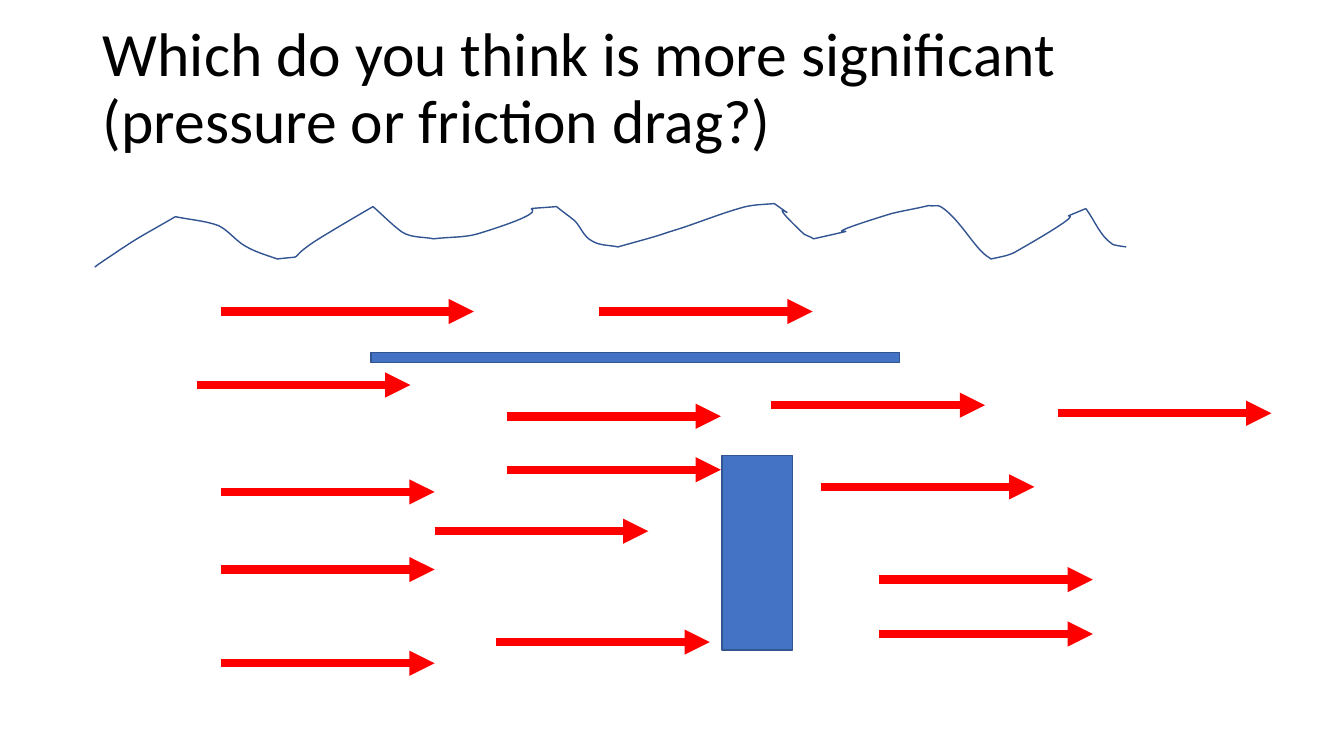
from typing import NamedTuple

from lxml.etree import SubElement
from pptx import Presentation
from pptx.dml.color import RGBColor
from pptx.enum.shapes import MSO_CONNECTOR as Link, MSO_SHAPE as Kind
from pptx.enum.text import MSO_ANCHOR as Anchor, MSO_AUTO_SIZE as Fit, PP_ALIGN as Align
from pptx.oxml.ns import qn
from pptx.util import Pt

PX = 9144  # EMU per px, 100 px to the inch
RED, BLUE, EDGE = "FF0000", "4472C4", "325491"


class Arrow(NamedTuple):
    x: int
    y: int
    width: int = 212


class Plate(NamedTuple):
    x: int
    y: int
    width: int
    height: int


ARROWS = [
    Arrow(219, 565), Arrow(219, 488), Arrow(195, 382), Arrow(219, 309, 251),
    Arrow(219, 658), Arrow(492, 637), Arrow(503, 466), Arrow(431, 527),
    Arrow(503, 413), Arrow(594, 309), Arrow(765, 402), Arrow(814, 483),
    Arrow(872, 575), Arrow(872, 629), Arrow(1049, 410),
]
PLATES = [Plate(368, 350, 524, 10), Plate(716, 452, 70, 193)]

START = (94, 265)
# Each curve: two control points, then its end point
CURVES = [
    ((95, 264), (97, 263), (98, 262)),
    ((141, 233), (129, 241), (174, 215)),
    ((188, 218), (204, 219), (217, 224)),
    ((227, 229), (234, 239), (243, 244)),
    ((253, 250), (264, 253), (275, 257)),
    ((307, 253), (281, 260), (313, 239)),
    ((332, 227), (370, 205), (370, 205)),
    ((376, 210), (396, 230), (402, 232)),
    ((411, 236), (421, 235), (430, 237)),
    ((445, 235), (460, 236), (474, 232)),
    ((578, 200), (489, 210), (552, 205)),
    ((558, 210), (564, 214), (570, 219)),
    ((576, 225), (579, 235), (587, 239)),
    ((595, 244), (604, 243), (613, 245)),
    ((630, 240), (647, 236), (664, 230)),
    ((688, 223), (711, 213), (736, 206)),
    ((746, 203), (757, 203), (768, 202)),
    ((803, 227), (750, 187), (795, 230)),
    ((798, 234), (803, 234), (807, 237)),
    ((886, 219), (780, 244), (884, 212)),
    ((896, 209), (909, 207), (921, 204)),
    ((925, 205), (930, 203), (933, 205)),
    ((949, 215), (962, 238), (974, 250)),
    ((977, 253), (980, 255), (983, 257)),
    ((991, 255), (1000, 254), (1007, 250)),
    ((1107, 193), (1029, 227), (1077, 207)),
    ((1086, 219), (1091, 234), (1103, 242)),
    ((1103, 242), (1104, 243), (1105, 243)),
    ((1109, 244), (1117, 245), (1117, 245)),
]


def color(code: str) -> RGBColor:
    return RGBColor.from_string(code)


def stroke(line, code: str, width: int) -> None:
    line.color.rgb = color(code)
    line.width = Pt(width)


def add_title(slide, text: str) -> None:
    title = slide.shapes.title
    title.left, title.top, title.width, title.height = (n * PX for n in (92, 17, 1150, 145))
    frame = title.text_frame
    frame.text = text
    frame.word_wrap = True
    frame.auto_size = Fit.NONE
    frame.vertical_anchor = Anchor.MIDDLE
    para = frame.paragraphs[0]
    para.alignment = Align.LEFT
    para.line_spacing = 0.9
    para.font.name = "Calibri"
    para.font.size = Pt(44)
    para.font.color.rgb = color("000000")


def add_arrow(slide, arrow: Arrow) -> None:
    x, y, width = (n * PX for n in arrow)
    link = slide.shapes.add_connector(Link.STRAIGHT, x, y, x + width, y)
    stroke(link.line, RED, 6)
    props = link.element.spPr
    SubElement(props.find(qn("a:ln")), qn("a:tailEnd"), type="triangle")
    SubElement(props, qn("a:effectLst"))


def add_plate(slide, plate: Plate) -> None:
    shape = slide.shapes.add_shape(Kind.RECTANGLE, *(n * PX for n in plate))
    shape.shadow.inherit = False
    shape.fill.solid()
    shape.fill.fore_color.rgb = color(BLUE)
    stroke(shape.line, EDGE, 1)


def add_wave(slide) -> None:
    """Draw the water line, bending each straight segment into a curve."""
    ends = [curve[-1] for curve in CURVES]
    form = slide.shapes.build_freeform(*START, scale=PX)
    form.add_line_segments(ends, close=False)
    wave = form.convert_to_shape()
    wave.shadow.inherit = False
    wave.fill.background()
    stroke(wave.line, EDGE, 1)
    left = min(x for x, _ in [START, *ends])
    top = min(y for _, y in [START, *ends])
    parts = list(wave.element.iter(qn("a:lnTo")))
    for part, curve in zip(parts, CURVES):
        bend = SubElement(part.getparent(), qn("a:cubicBezTo"))
        for x, y in curve:
            SubElement(bend, qn("a:pt"), x=str(x - left), y=str(y - top))
        part.getparent().replace(part, bend)


def main() -> None:
    deck = Presentation()
    deck.slide_width, deck.slide_height = 1333 * PX, 750 * PX
    slide = deck.slides.add_slide(deck.slide_layouts[5])
    add_title(slide, "Which do you think is more significant (pressure or friction drag?)")
    for plate in PLATES:
        add_plate(slide, plate)
    for arrow in ARROWS:
        add_arrow(slide, arrow)
    add_wave(slide)
    deck.save("out.pptx")


if __name__ == "__main__":
    main()
